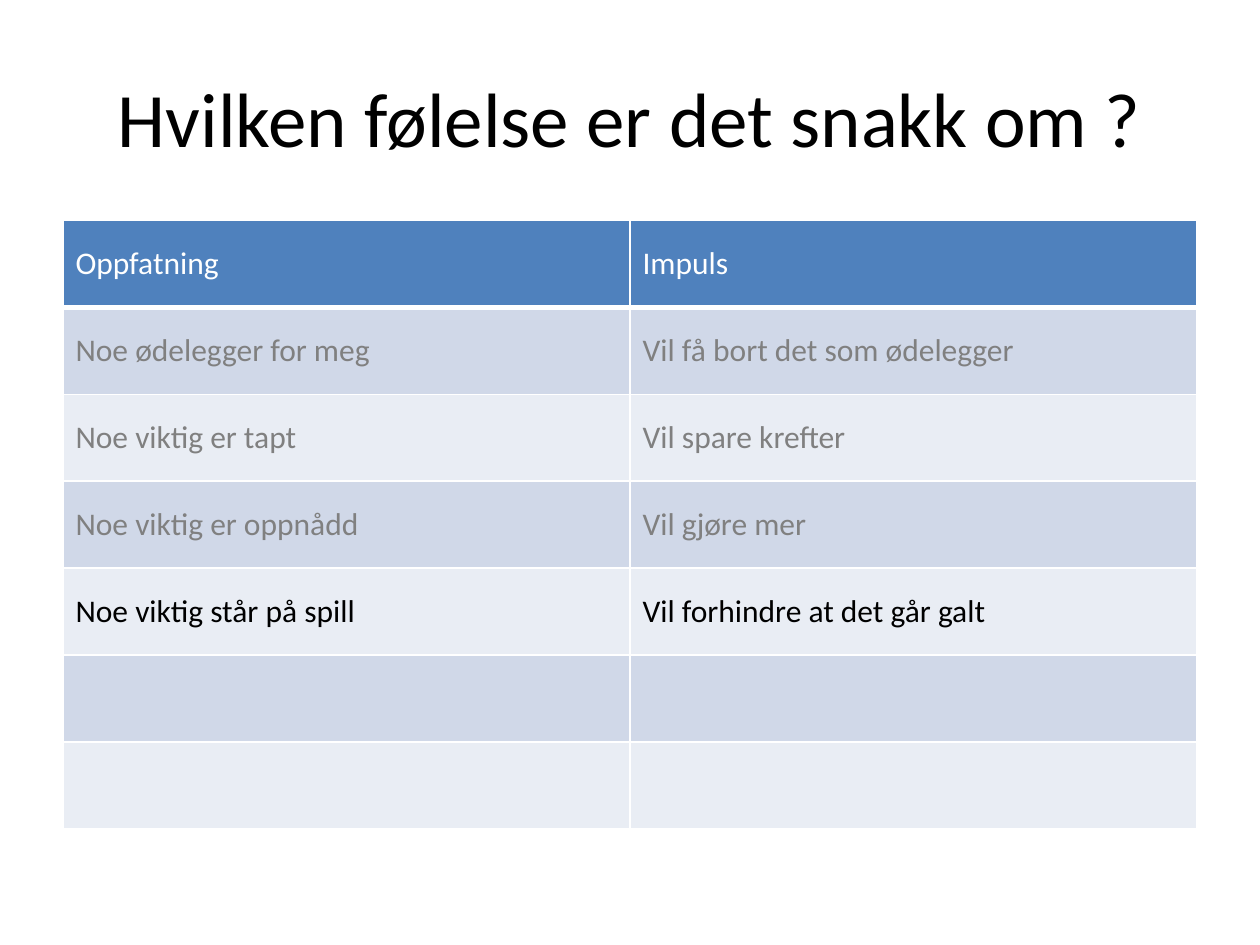
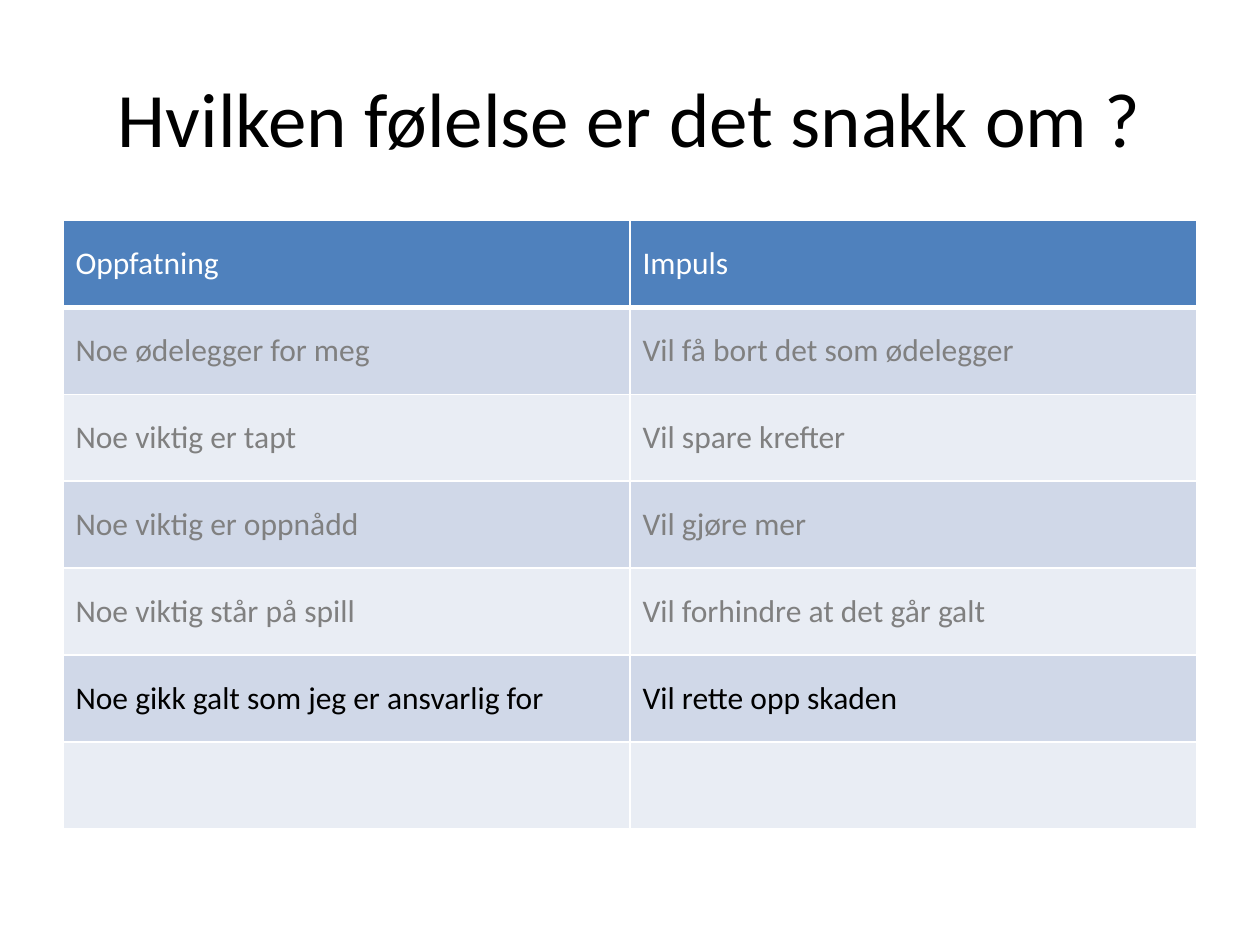
from lxml import etree
from pptx import Presentation
from pptx.dml.color import RGBColor
from pptx.enum.text import MSO_ANCHOR, PP_ALIGN
from pptx.oxml.ns import qn
from pptx.util import Inches, Pt

MIDDLE = MSO_ANCHOR.MIDDLE
CENTER = PP_ALIGN.CENTER
LEFT = PP_ALIGN.LEFT
TITLE_ONLY = 5

COLORS = {
    "black": "000000",
    "white": "FFFFFF",
    "past": "808080",
    "head": "4F81BD",
    "odd": "D0D8E8",
    "even": "E9EDF4",
}

TITLE = "Hvilken følelse er det snakk om ?"
HEADS = ("Oppfatning", "Impuls")
PAIRS = [
    ("Noe ødelegger for meg", "Vil få bort det som ødelegger"),
    ("Noe viktig er tapt", "Vil spare krefter"),
    ("Noe viktig er oppnådd", "Vil gjøre mer"),
    ("Noe viktig står på spill", "Vil forhindre at det går galt"),
    ("Noe gikk galt som jeg er ansvarlig for", "Vil rette opp skaden"),
]
ROWS = 7


class Deck:
    """Holds the shared style and the current slide."""

    font = "Calibri"

    def __init__(self):
        self.prs = Presentation()
        self.prs.slide_width = Inches(10)
        self.prs.slide_height = Inches(7.5)
        self.slide = None

    def color(self, name):
        return RGBColor.from_string(COLORS[name])

    def new(self):
        layout = self.prs.slide_layouts[TITLE_ONLY]
        self.slide = self.prs.slides.add_slide(layout)
        fill = self.slide.background.fill
        fill.solid()
        fill.fore_color.rgb = self.color("white")

    def label(self, frame, text, size, color, align):
        frame.text = text
        para = frame.paragraphs[0]
        para.alignment = align
        font = para.font
        font.name, font.size, font.bold = self.font, Pt(size), False
        font.color.rgb = self.color(color)

    def title(self, text):
        box = self.slide.shapes.title
        box.left, box.top = Inches(0.5), Inches(0.3)
        box.width, box.height = Inches(9), Inches(1.25)
        box.text_frame.vertical_anchor = MIDDLE
        self.label(box.text_frame, text, 44, "black", CENTER)

    def border(self, cell, base):
        props = cell._tc.get_or_add_tcPr()
        for side, width in (("L", 1), ("R", 1), ("T", 1), ("B", base)):
            line = etree.SubElement(props, qn("a:ln" + side), w=str(Pt(width)))
            solid = etree.SubElement(line, qn("a:solidFill"))
            etree.SubElement(solid, qn("a:srgbClr"), val=COLORS["white"])

    def cell(self, cell, text, color, fill, base):
        self.border(cell, base)
        cell.fill.solid()
        cell.fill.fore_color.rgb = self.color(fill)
        cell.vertical_anchor = MIDDLE
        self.label(cell.text_frame, text, 18, color, LEFT)

    def table(self, heads, pairs):
        """Fill the rows given; the last pair stands out in black."""
        table = self.slide.shapes.add_table(
            ROWS, len(heads), Inches(0.5), Inches(1.75),
            Inches(9), Inches(0.69 * ROWS)).table
        table.first_row = table.horz_banding = False
        blank = [("",) * len(heads)] * (ROWS - 1 - len(pairs))
        for r, texts in enumerate([heads, *pairs, *blank]):
            if r == 0:
                color, fill, base = "white", "head", 3
            else:
                color = "past" if r < len(pairs) else "black"
                fill, base = ("odd" if r % 2 else "even"), 1
            for c, text in enumerate(texts):
                self.cell(table.cell(r, c), text, color, fill, base)


def main():
    deck = Deck()
    # Each slide reveals one more pair
    for count in (4, 5):
        deck.new()
        deck.title(TITLE)
        deck.table(HEADS, PAIRS[:count])
    deck.prs.save("out.pptx")


if __name__ == "__main__":
    main()
